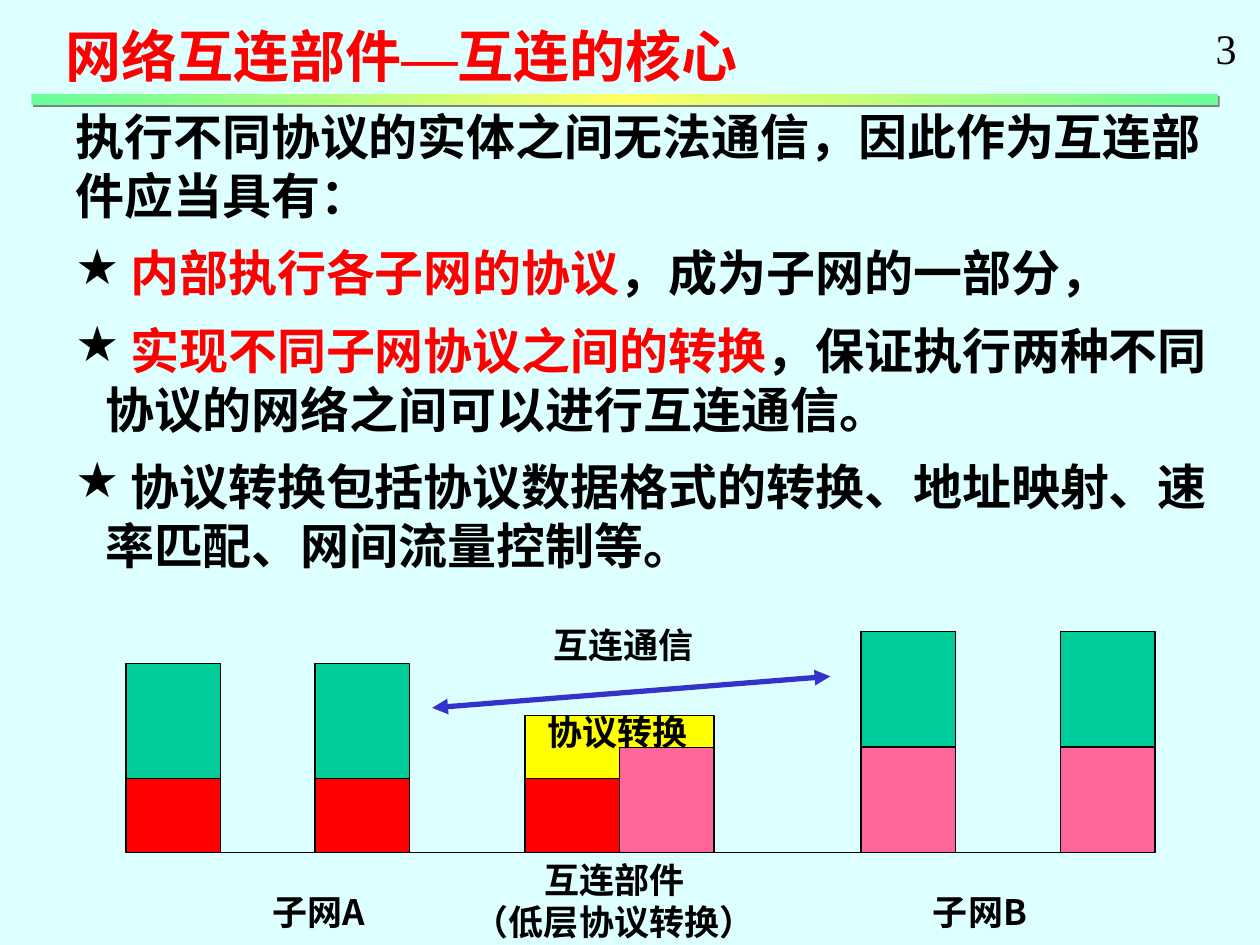
from lxml import etree
from pptx import Presentation
from pptx.dml.color import RGBColor
from pptx.enum.shapes import MSO_CONNECTOR, MSO_SHAPE
from pptx.enum.text import MSO_ANCHOR, MSO_AUTO_SIZE, PP_ALIGN
from pptx.oxml import parse_xml
from pptx.oxml.ns import qn
from pptx.util import Pt

RECTANGLE = MSO_SHAPE.RECTANGLE
STRAIGHT = MSO_CONNECTOR.STRAIGHT
TOP, MIDDLE = MSO_ANCHOR.TOP, MSO_ANCHOR.MIDDLE
LEFT, CENTER = PP_ALIGN.LEFT, PP_ALIGN.CENTER
NO_AUTOFIT = MSO_AUTO_SIZE.NONE

SANS = "Noto Sans CJK SC"
SERIF = "Times New Roman"
NAMESPACE = 'xmlns:a="http://schemas.openxmlformats.org/drawingml/2006/main"'
COLORS = {
    "background": "DDFFFF", "black": "000000", "red": "FF0000",
    "green": "00CC99", "pink": "FF6699", "yellow": "FFFF00",
    "arrow": "3333CC", "bar_end": "66FF99", "bar_middle": "FFFF66",
    "shadow": "808080",
}


def write(paragraph, text, size=20, color="black", font=SANS, bold=True):
    """Append a formatted run; the font covers Latin and East Asian text."""
    run = paragraph.add_run()
    run.text = text
    run.font.size = Pt(size)
    run.font.bold = bold
    run.font.name = font
    run.font.color.rgb = RGBColor.from_string(COLORS[color])
    east_asian = etree.Element(qn("a:ea"), typeface=font)
    run.font._element.find(qn("a:latin")).addnext(east_asian)


def style_block(shape, color):
    shape.shadow.inherit = False
    shape.fill.solid()
    shape.fill.fore_color.rgb = RGBColor.from_string(COLORS[color])
    shape.line.color.rgb = RGBColor.from_string(COLORS["black"])
    shape.line.width = Pt(0.75)


presentation = Presentation()
presentation.slide_width, presentation.slide_height = Pt(720), Pt(540)
slide = presentation.slides.add_slide(presentation.slide_layouts[5])
slide.background.fill.solid()
slide.background.fill.fore_color.rgb = RGBColor.from_string(COLORS["background"])
shapes = slide.shapes

# Title
title = shapes.title
title.left, title.top, title.width, title.height = Pt(30), Pt(8.5), Pt(506), Pt(46)
title.text_frame.auto_size = NO_AUTOFIT
title.text_frame.vertical_anchor = TOP
paragraph = title.text_frame.paragraphs[0]
paragraph.alignment = LEFT
for text, font in (("网络互连部件", SANS), ("—", SERIF), ("互连的核心", SANS)):
    write(paragraph, text, size=32, color="red", font=font)

# Body text
body_paragraphs = [
    [("执行不同协议的实体之间无法通信，因此作为互连部件应当具有：", "black")],
    [(" ", "black"), ("内部执行各子网的协议", "red"),
     ("，成为子网的一部分，", "black")],
    [(" ", "black"), ("实现不同子网协议之间的转换", "red"),
     ("，保证执行两种不同协议的网络之间可以进行互连通信。", "black")],
    [(" 协议转换包括协议数据格式的转换、地址映射、速率匹配、网间流量控制等。", "black")],
]
body = shapes.add_textbox(Pt(36), Pt(57.6), Pt(666), Pt(274)).text_frame
body.word_wrap = True
for index, runs in enumerate(body_paragraphs):
    paragraph = body.add_paragraph() if index else body.paragraphs[0]
    if index:
        paragraph.space_before = Pt(10.5)
        properties = paragraph._p.get_or_add_pPr()
        properties.set("marL", str(Pt(17)))
        properties.set("indent", str(-Pt(17)))
        bullet_color = etree.SubElement(properties, qn("a:buClr"))
        etree.SubElement(bullet_color, qn("a:srgbClr"), val=COLORS["black"])
        etree.SubElement(properties, qn("a:buChar"), char="★")
    for text, color in runs:
        write(paragraph, text, size=28, color=color)

# Protocol stacks standing on a common baseline
BASELINE, BLOCK_WIDTH = 487, 54
RED_TOP, PINK_TOP, UPPER_HEIGHT = 445, 427, 66
bridge_left = 300
bridge_middle = bridge_left + BLOCK_WIDTH
bridge_right = bridge_middle + BLOCK_WIDTH

baseline = shapes.add_connector(STRAIGHT, Pt(126), Pt(BASELINE), Pt(606), Pt(BASELINE))
arrow = shapes.add_connector(STRAIGHT, Pt(247), Pt(404.5), Pt(474.5), Pt(386.5))
for connector, color, width in ((baseline, "black", 0.75), (arrow, "arrow", 3)):
    connector.line.color.rgb = RGBColor.from_string(COLORS[color])
    connector.line.width = Pt(width)
    etree.SubElement(connector._element.spPr, qn("a:effectLst"))
for end in ("a:headEnd", "a:tailEnd"):
    etree.SubElement(arrow.line._get_or_add_ln(), qn(end), type="triangle")

blocks = []
for left, color, lower_top in (
    (72, "red", RED_TOP), (180, "red", RED_TOP),
    (492, "pink", PINK_TOP), (606, "pink", PINK_TOP),
):
    blocks.append((left, lower_top - UPPER_HEIGHT, UPPER_HEIGHT, "green"))
    blocks.append((left, lower_top, BASELINE - lower_top, color))
blocks.append((bridge_left, RED_TOP, BASELINE - RED_TOP, "red"))
blocks.append((bridge_middle, PINK_TOP, BASELINE - PINK_TOP, "pink"))
for left, top, height, color in blocks:
    block = shapes.add_shape(RECTANGLE, Pt(left), Pt(top), Pt(BLOCK_WIDTH), Pt(height))
    style_block(block, color)

conversion_top = 409
builder = shapes.build_freeform(Pt(bridge_left), Pt(RED_TOP))
builder.add_line_segments([(Pt(x), Pt(y)) for x, y in (
    (bridge_middle, RED_TOP), (bridge_middle, PINK_TOP),
    (bridge_right, PINK_TOP), (bridge_right, conversion_top),
    (bridge_left, conversion_top),
)], close=True)
style_block(builder.convert_to_shape(), "yellow")

# Diagram labels
for lines, left, top, width, height in (
    (["子网A"], 146, 505, 72, 32),
    (["子网B"], 524, 505, 72, 32),
    (["互连部件", "（低层协议转换）"], 264, 487, 174, 55),
    (["协议转换"], 306, 402, 94, 32),
    (["互连通信"], 309.5, 352, 94, 32),
):
    label = shapes.add_textbox(Pt(left), Pt(top), Pt(width), Pt(height)).text_frame
    label.word_wrap = False
    label.margin_left = label.margin_right = 0
    label.vertical_anchor = MIDDLE
    for index, line in enumerate(lines):
        paragraph = label.add_paragraph() if index else label.paragraphs[0]
        paragraph.alignment = CENTER
        write(paragraph, line)

# Page number
page_number = shapes.add_textbox(Pt(687.5), Pt(9.5), Pt(26), Pt(36)).text_frame
page_number.word_wrap = False
write(page_number.paragraphs[0], "3", size=24, font=SERIF, bold=False)

# Gradient bar under the title
bar = shapes.add_shape(RECTANGLE, Pt(18), Pt(54), Pt(678), Pt(6))
bar.line.fill.background()
stops = "".join(
    f'<a:gs pos="{position * 1000}"><a:srgbClr val="{COLORS[color]}"/></a:gs>'
    for position, color in ((0, "bar_end"), (50, "bar_middle"), (100, "bar_end"))
)
outline = bar._element.spPr.find(qn("a:ln"))
outline.addprevious(parse_xml(
    f'<a:gradFill {NAMESPACE} rotWithShape="1"><a:gsLst>{stops}</a:gsLst>'
    '<a:lin ang="0" scaled="1"/></a:gradFill>'
))
outline.addnext(parse_xml(
    f'<a:effectLst {NAMESPACE}><a:outerShdw dist="{Pt(1.4)}" dir="2700000">'
    f'<a:srgbClr val="{COLORS["shadow"]}"/></a:outerShdw></a:effectLst>'
))

presentation.save("out.pptx")
